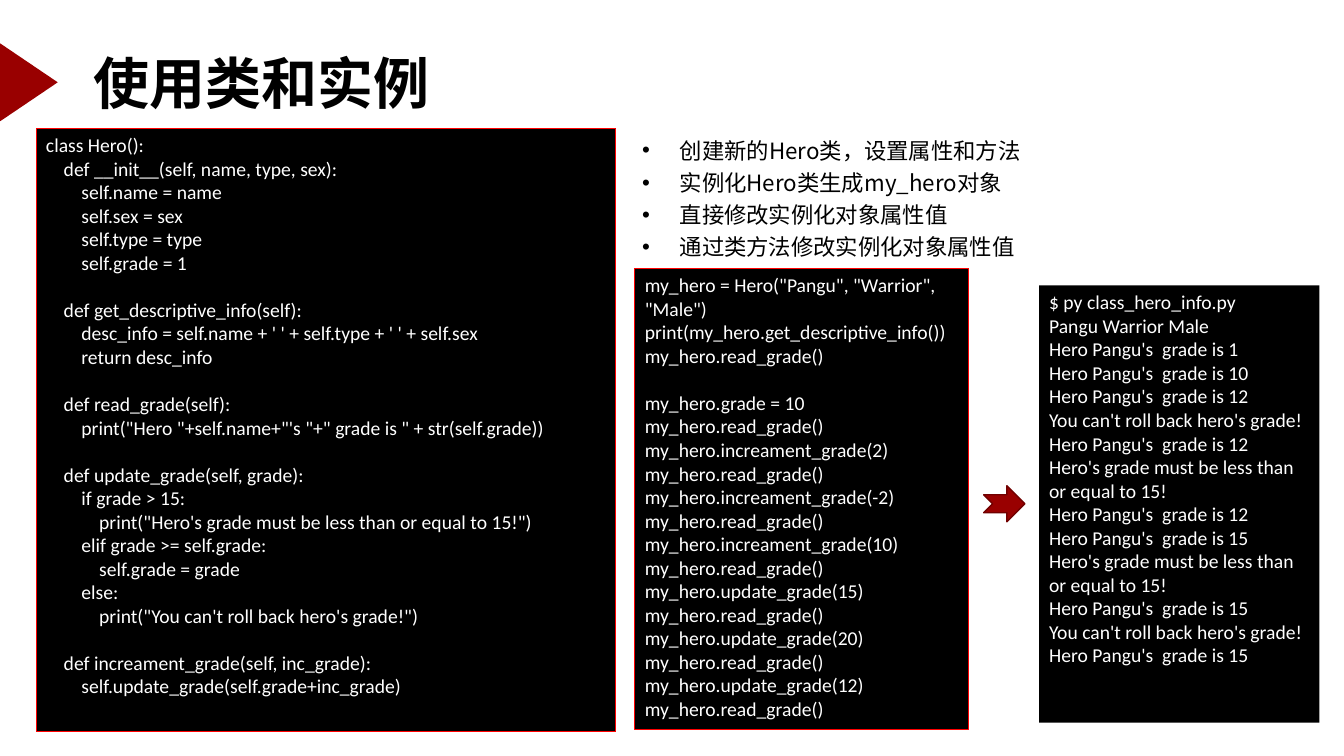
from lxml import etree
from pptx import Presentation
from pptx import util as u
from pptx.dml.color import RGBColor
from pptx.enum import shapes, text
from pptx.oxml.ns import qn

COLOURS = {"ink": "000000", "paper": "FFFFFF", "accent": "990000",
           "accent_edge": "710000", "code_edge": "FF0000"}

HERO_CLASS = """class Hero():
    def __init__(self, name, type, sex):
        self.name = name
        self.sex = sex
        self.type = type
        self.grade = 1

    def get_descriptive_info(self):
        desc_info = self.name + ' ' + self.type + ' ' + self.sex
        return desc_info

    def read_grade(self):
        print("Hero "+self.name+"'s "+" grade is " + str(self.grade))

    def update_grade(self, grade):
        if grade > 15:
            print("Hero's grade must be less than or equal to 15!")
        elif grade >= self.grade:
            self.grade = grade
        else:
            print("You can't roll back hero's grade!")

    def increament_grade(self, inc_grade):
        self.update_grade(self.grade+inc_grade)"""

HERO_CALLS = """my_hero = Hero("Pangu", "Warrior", "Male")
print(my_hero.get_descriptive_info())
my_hero.read_grade()

my_hero.grade = 10
my_hero.read_grade()
my_hero.increament_grade(2)
my_hero.read_grade()
my_hero.increament_grade(-2)
my_hero.read_grade()
my_hero.increament_grade(10)
my_hero.read_grade()
my_hero.update_grade(15)
my_hero.read_grade()
my_hero.update_grade(20)
my_hero.read_grade()
my_hero.update_grade(12)
my_hero.read_grade()"""

CONSOLE = """$ py class_hero_info.py
Pangu Warrior Male
Hero Pangu's  grade is 1
Hero Pangu's  grade is 10
Hero Pangu's  grade is 12
You can't roll back hero's grade!
Hero Pangu's  grade is 12
Hero's grade must be less than or equal to 15!
Hero Pangu's  grade is 12
Hero Pangu's  grade is 15
Hero's grade must be less than or equal to 15!
Hero Pangu's  grade is 15
You can't roll back hero's grade!
Hero Pangu's  grade is 15"""

POINTS = ["创建新的Hero类，设置属性和方法", "实例化Hero类生成my_hero对象",
          "直接修改实例化对象属性值", "通过类方法修改实例化对象属性值"]


def colour(name):
    return RGBColor.from_string(COLOURS[name])


def apply(target, values):
    for name, value in values.items():
        setattr(target, name, value)


class HeroSlide:
    title_font = {"name": "Noto Sans CJK JP", "size": u.Pt(40), "bold": True}
    list_font = {"name": "Noto Sans CJK SC", "size": u.Pt(16)}
    code_font = {"name": "Calibri", "size": u.Pt(14)}
    frame_format = {"auto_size": text.MSO_AUTO_SIZE.NONE,
                    "vertical_anchor": text.MSO_ANCHOR.TOP, "word_wrap": True}
    paragraph_format = {"alignment": text.PP_ALIGN.LEFT, "space_before": u.Pt(0)}

    def __init__(self, presentation):
        self.slide = presentation.slides.add_slide(presentation.slide_layouts[1])

    def place(self, shape, box):
        apply(shape, dict(zip(("left", "top", "width", "height"), map(u.Cm, box))))

    def fill_text(self, frame, lines, font, ink="ink", line_spacing=1.0):
        apply(frame, self.frame_format)
        for index, line in enumerate(lines):
            paragraph = frame.add_paragraph() if index else frame.paragraphs[0]
            apply(paragraph, {**self.paragraph_format, "line_spacing": line_spacing})
            if not line:
                # An empty code line keeps the height of the others
                end = etree.SubElement(paragraph._p, qn("a:endParaRPr"))
                end.set("sz", str(int(font["size"].pt * 100)))
                continue
            run = paragraph.add_run()
            run.text = line
            apply(run.font, font)
            run.font.color.rgb = colour(ink)
            east_asian = etree.SubElement(run.font._element, qn("a:ea"))
            east_asian.set("typeface", font["name"])

    def title(self, wording, box):
        shape = self.slide.shapes.title
        self.place(shape, box)
        self.fill_text(shape.text_frame, [wording], self.title_font)
        shape.text_frame.word_wrap = False

    def bullets(self, lines, box):
        shape = self.slide.placeholders[1]
        self.place(shape, box)
        frame = shape.text_frame
        apply(frame, {"margin_left": u.Cm(0.18), "margin_right": u.Cm(0.18),
                      "margin_top": u.Cm(0.08), "margin_bottom": u.Cm(0.08)})
        self.fill_text(frame, lines, self.list_font, line_spacing=1.2)
        for paragraph in frame.paragraphs:
            properties = paragraph._p.get_or_add_pPr()
            properties.set("marL", str(u.Cm(0.95)))
            properties.set("indent", str(-u.Cm(0.95)))
            etree.SubElement(properties, qn("a:buFont")).set("typeface", "Arial")
            etree.SubElement(properties, qn("a:buChar")).set("char", "•")

    def shape(self, kind, box, fill, edge=None, weight=0.75, rotation=0):
        shape = self.slide.shapes.add_shape(kind, *map(u.Cm, box))
        shape.shadow.inherit = False
        shape.rotation = rotation
        shape.fill.solid()
        shape.fill.fore_color.rgb = colour(fill)
        if edge:
            shape.line.color.rgb = colour(edge)
            shape.line.width = u.Pt(weight)
        else:
            shape.line.fill.background()
        return shape

    def code(self, listing, box, edge=None):
        panel = self.shape(shapes.MSO_SHAPE.RECTANGLE, box, "ink", edge)
        self.fill_text(panel.text_frame, listing.split("\n"), self.code_font, "paper")


def main():
    presentation = Presentation()
    presentation.slide_width = u.Cm(33.87)
    presentation.slide_height = u.Cm(19.05)
    page = HeroSlide(presentation)

    # Heading with its marker
    page.title("使用类和实例", (2.11, 1.09, 8.99, 1.96))
    page.shape(shapes.MSO_SHAPE.ISOSCELES_TRIANGLE, (-0.25, 1.35, 1.96, 1.45),
               "accent", rotation=90)

    # Key points
    page.bullets(POINTS, (16, 3.23, 17.25, 3.45))

    # Class, its use and the console output
    page.code(HERO_CALLS, (16, 6.76, 8.41, 11.63), "code_edge")
    page.code(HERO_CLASS, (0.91, 3.23, 14.61, 15.21), "code_edge")
    page.code(CONSOLE, (26.19, 7.19, 7.06, 11.02))
    page.shape(shapes.MSO_SHAPE.NOTCHED_RIGHT_ARROW, (24.79, 12.24, 1.04, 0.91),
               "accent", "accent_edge", 1)

    presentation.save("out.pptx")


if __name__ == "__main__":
    main()
